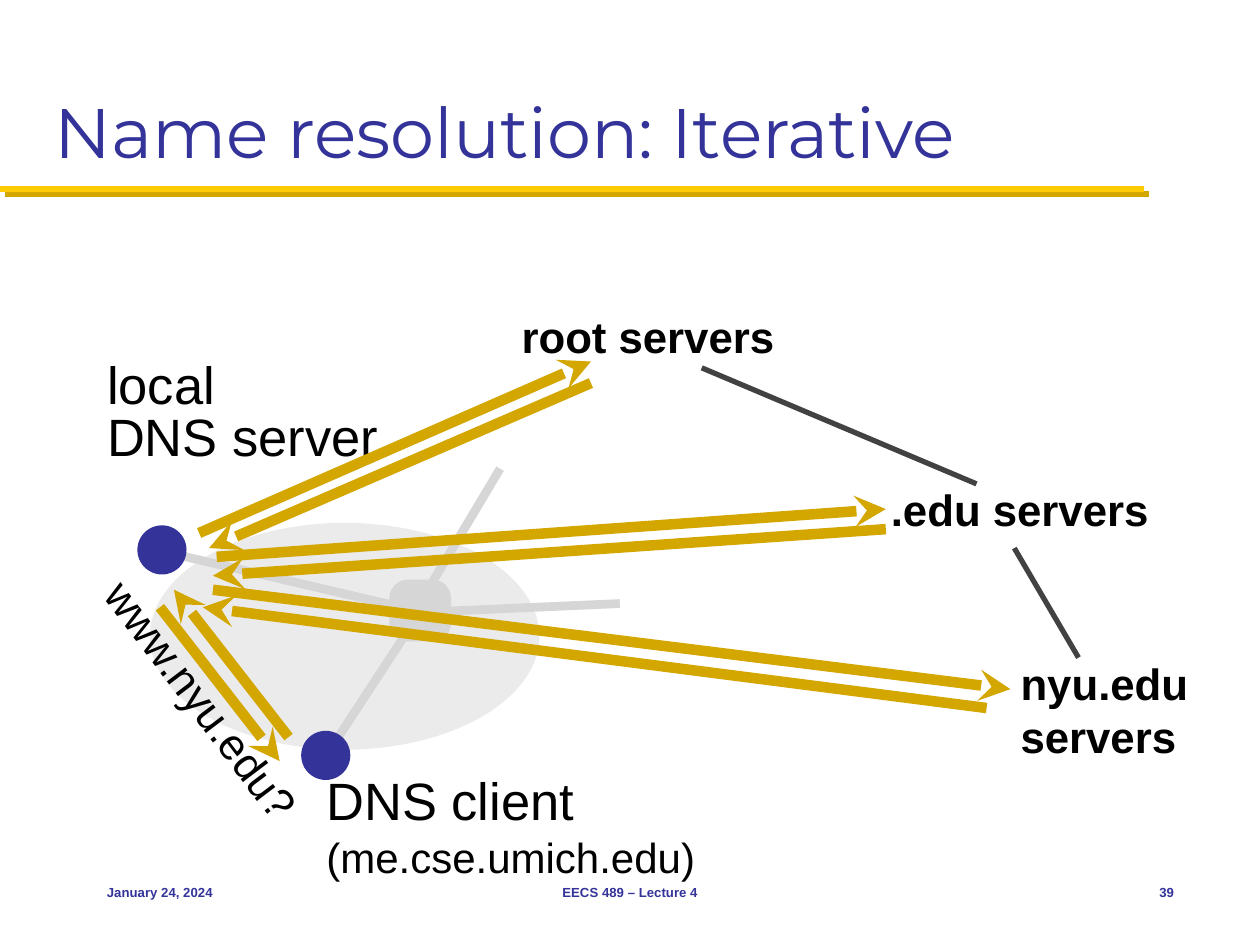
from dataclasses import dataclass

from lxml import etree
from pptx import Presentation
from pptx.dml.color import RGBColor
from pptx.enum.shapes import MSO_CONNECTOR, MSO_SHAPE
from pptx.enum.text import MSO_ANCHOR, MSO_AUTO_SIZE, PP_ALIGN
from pptx.oxml.ns import qn
from pptx.util import Pt

STRAIGHT = MSO_CONNECTOR.STRAIGHT
OVAL = MSO_SHAPE.OVAL
ROUNDED = MSO_SHAPE.ROUNDED_RECTANGLE
LEFT, CENTER, RIGHT = PP_ALIGN.LEFT, PP_ALIGN.CENTER, PP_ALIGN.RIGHT
MIDDLE, BOTTOM = MSO_ANCHOR.MIDDLE, MSO_ANCHOR.BOTTOM
NO_AUTOFIT = MSO_AUTO_SIZE.NONE
TITLE_ONLY_LAYOUT = 5


@dataclass(frozen=True)
class Theme:
    heading_font: str = "Montserrat"
    body_font: str = "Arial"
    blue: str = "333399"
    maize: str = "FFCB05"
    gold: str = "D3A600"
    black: str = "000000"
    cloud: str = "EBEBEB"
    network: str = "D6D6D6"
    hierarchy: str = "424242"
    title_size: float = 40
    host_size: float = 30
    server_size: float = 25
    address_size: float = 24
    footer_size: float = 7.5


def write_text(paragraph, text, *, font, size, color, bold=False):
    run = paragraph.add_run()
    run.text = text
    run.font.name = font
    run.font.size = Pt(size)
    run.font.bold = bold
    run.font.color.rgb = RGBColor.from_string(color)


class SlideBuilder:
    def __init__(self, slide, theme):
        self.slide = slide
        self.theme = theme

    def title(self, text, left, top, width, height):
        shape = self.slide.shapes.title
        shape.left, shape.top, shape.width, shape.height = map(Pt, (left, top, width, height))
        frame = shape.text_frame
        frame.auto_size = NO_AUTOFIT
        frame.vertical_anchor = BOTTOM
        paragraph = frame.paragraphs[0]
        paragraph.alignment = LEFT
        write_text(paragraph, text, font=self.theme.heading_font,
                   size=self.theme.title_size, color=self.theme.blue)

    def line(self, start, end, color, width, arrow=False, shadow=None):
        connector = self.slide.shapes.add_connector(STRAIGHT, *map(Pt, (*start, *end)))
        connector.line.width = Pt(width)
        connector.line.color.rgb = RGBColor.from_string(color)
        properties = connector._element.spPr
        if arrow:
            etree.SubElement(properties.find(qn("a:ln")), qn("a:tailEnd"), type="stealth")
        effects = etree.SubElement(properties, qn("a:effectLst"))
        if shadow:
            outer = etree.SubElement(effects, qn("a:outerShdw"), dist=str(Pt(4.2)),
                                     dir="2700000", algn="ctr", rotWithShape="0")
            etree.SubElement(outer, qn("a:srgbClr"), val=shadow)

    def filled_shape(self, kind, left, top, width, height, color):
        shape = self.slide.shapes.add_shape(kind, *map(Pt, (left, top, width, height)))
        shape.shadow.inherit = False
        shape.fill.solid()
        shape.fill.fore_color.rgb = RGBColor.from_string(color)
        shape.line.fill.background()
        return shape

    def host(self, left, top):
        self.filled_shape(OVAL, left, top, 28.1, 28.1, self.theme.blue)

    def label(self, lines, left, top, width, height, *, size, color=None, bold=False,
              alignment=LEFT, margin=2.9, rotation=0, spacing=None):
        shape = self.slide.shapes.add_textbox(*map(Pt, (left, top, width, height)))
        shape.rotation = rotation
        frame = shape.text_frame
        frame.word_wrap = True
        frame.vertical_anchor = MIDDLE
        frame.margin_left = frame.margin_right = Pt(margin)
        frame.margin_top = frame.margin_bottom = Pt(2.9)
        paragraph = frame.paragraphs[0]
        paragraph.alignment = alignment
        paragraph.line_spacing = spacing
        for index, (text, line_size) in enumerate(lines):
            if index:
                paragraph.add_line_break()
            write_text(paragraph, text, font=self.theme.body_font, size=line_size or size,
                       color=color or self.theme.black, bold=bold)


def draw_network(builder):
    theme = builder.theme
    builder.filled_shape(OVAL, 85.7, 298.8, 222.5, 129.6, theme.cloud)
    for start, end in (
        ((90.7, 314.6), (236.2, 348.5)),
        ((239, 351.4), (188.6, 428.4)),
        ((285.8, 267.8), (239.8, 344.9)),
        ((354.2, 344.9), (240.5, 349.9)),
    ):
        builder.line(start, end, theme.network, 5)
    router = builder.filled_shape(ROUNDED, 222.5, 331.2, 35.3, 35.3, theme.network)
    router.adjustments[0] = 0.3
    builder.host(172.1, 417.6)
    builder.host(78.5, 300.2)


def draw_labels(builder):
    theme = builder.theme
    builder.label([("DNS client", None), ("(me.cse.umich.edu)", theme.address_size)],
                  183.6, 435.6, 296.6, 71.3, size=theme.host_size)
    for text, top, width in (("local", 198, 69.1), ("DNS server", 228.2, 204.5)):
        builder.label([(text, None)], 58.3, top, width, 41.8, size=theme.host_size)
    for text, *box in (
        ("root servers", 295.2, 174.2, 165.6, 36),
        (".edu servers", 506.2, 272.9, 190.1, 36),
        ("nyu.edu servers", 580.3, 372.2, 133.2, 66.2),
    ):
        builder.label([(text, None)], *box, size=theme.server_size, bold=True)
    builder.label([("www.nyu.edu?", None)], 28.1, 388.1, 173.5, 31,
                  size=theme.server_size, rotation=53, spacing=0.8)


def draw_queries(builder):
    theme = builder.theme
    for start, end in (((401, 210.2), (558, 276.5)), ((579.6, 313.2), (616.3, 375.8))):
        builder.line(start, end, theme.hierarchy, 3)
    for start, end in (
        ((164.9, 421.2), (99.4, 337)),
        ((113.8, 304.6), (337.7, 206.6)),
        ((123.8, 318.2), (506.2, 290.9)),
        ((337.7, 218.9), (119.5, 313.2)),
        ((506.2, 302.4), (121.7, 329)),
        ((121.7, 337), (577.4, 393.8)),
        ((563.8, 404.6), (115.9, 347)),
        ((91.4, 347), (159.8, 434.9)),
    ):
        builder.line(start, end, theme.gold, 6, arrow=True)


def draw_footer(builder):
    theme = builder.theme
    for text, left, width, alignment in (
        ("January 24, 2024", 54, 150, LEFT),
        ("EECS 489 – Lecture 4", 246, 228, CENTER),
        ("39", 630, 48, RIGHT),
    ):
        builder.label([(text, None)], left, 492, width, 36, size=theme.footer_size,
                      color=theme.blue, bold=True, alignment=alignment, margin=7.2)


def main():
    presentation = Presentation()
    presentation.slide_width, presentation.slide_height = Pt(720), Pt(540)
    slide = presentation.slides.add_slide(presentation.slide_layouts[TITLE_ONLY_LAYOUT])
    theme = Theme()
    builder = SlideBuilder(slide, theme)
    builder.line((0, 108), (653.8, 108), theme.maize, 3.5, shadow=theme.gold)
    builder.title("Name resolution: Iterative", 23.8, 12.2, 672, 90)
    draw_network(builder)
    draw_labels(builder)
    draw_queries(builder)
    draw_footer(builder)
    presentation.save("out.pptx")


if __name__ == "__main__":
    main()
